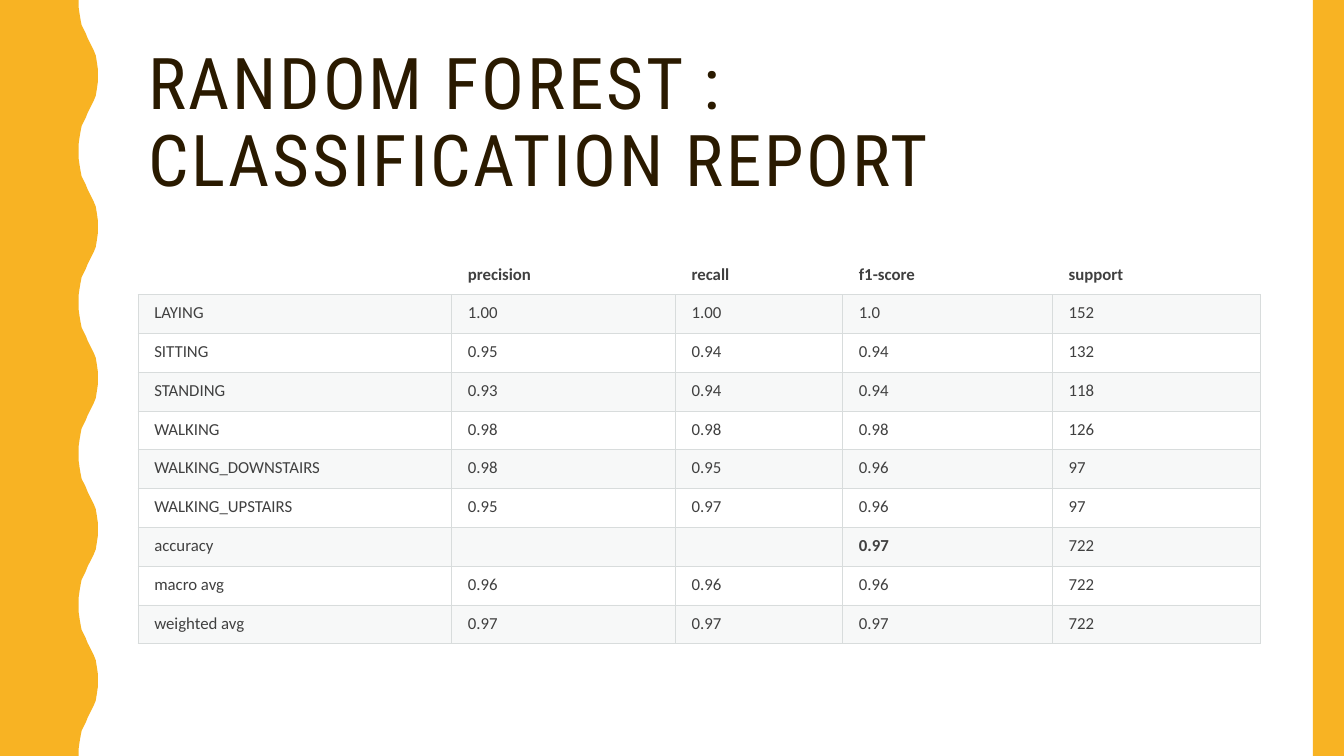
from dataclasses import dataclass

from lxml import etree
from pptx import Presentation
from pptx.dml.color import RGBColor
from pptx.enum.shapes import MSO_SHAPE
from pptx.enum.text import MSO_ANCHOR, MSO_AUTO_SIZE, PP_ALIGN
from pptx.oxml.ns import qn
from pptx.util import Pt

PX = 9144
RECT = MSO_SHAPE.RECTANGLE
TOP, MIDDLE = MSO_ANCHOR.TOP, MSO_ANCHOR.MIDDLE
LEFT = PP_ALIGN.LEFT
NO_FIT = MSO_AUTO_SIZE.NONE
TITLE_ONLY = 5


@dataclass(frozen=True)
class Theme:
    paper: str = "FFFFFF"
    accent: str = "F8B323"
    heading: str = "2A1A00"
    body: str = "404040"
    band: str = "D8DEDC"
    rule: str = "D8DCDC"
    band_alpha: int = 20
    heading_font: str = "Roboto Condensed"
    body_font: str = "Calibri"
    heading_size: int = 51
    body_size: int = 12
    heading_spacing: int = 2
    rule_width: float = 0.75


@dataclass(frozen=True)
class Box:
    x: int
    y: int
    w: int
    h: int

    def emu(self):
        return [v * PX for v in (self.x, self.y, self.w, self.h)]


THEME = Theme()
SLIDE = Box(0, 0, 1333, 750)
WAVE_BOX = Box(0, 0, 97, 750)
EDGE_BOX = Box(1302, 0, 31, 750)
TITLE_BOX = Box(137, 42, 1113, 163)
TABLE_BOX = Box(137, 254, 1113, 385)

WAVE_COUNT = 5
HALF_WAVE = [(19, 0), (19, 7), (18, 14), (17, 20), (16, 25), (14, 29), (12, 33),
             (10, 38), (8, 42), (6, 46), (4, 50), (2, 55), (1, 61), (0, 68), (0, 75)]

COLUMN_WIDTHS = [311, 222, 166, 208, 206]
REPORT = [
    ["", "precision", "recall", "f1-score", "support"],
    ["LAYING", "1.00", "1.00", "1.0", "152"],
    ["SITTING", "0.95", "0.94", "0.94", "132"],
    ["STANDING", "0.93", "0.94", "0.94", "118"],
    ["WALKING", "0.98", "0.98", "0.98", "126"],
    ["WALKING_DOWNSTAIRS", "0.98", "0.95", "0.96", "97"],
    ["WALKING_UPSTAIRS", "0.95", "0.97", "0.96", "97"],
    ["accuracy", "", "", "0.97", "722"],
    ["macro avg", "0.96", "0.96", "0.96", "722"],
    ["weighted avg", "0.97", "0.97", "0.97", "722"],
]
BOLD_CELL = (7, 3)


def set_all(obj, values):
    for name, value in values.items():
        setattr(obj, name, value)


def style_font(font, name, size, color, bold=False):
    set_all(font, {"name": name, "size": Pt(size), "bold": bold})
    font.color.rgb = RGBColor.from_string(color)


def paint(shape, color):
    shape.shadow.inherit = False
    shape.fill.solid()
    shape.fill.fore_color.rgb = RGBColor.from_string(color)
    shape.line.fill.background()


def add_wave(s, box):
    period = box.h // WAVE_COUNT
    right = box.x + box.w
    wave = HALF_WAVE + [(dx, period - dy) for dx, dy in HALF_WAVE[-2::-1]]
    points = [(right - dx, box.y + n * period + dy)
              for n in range(WAVE_COUNT) for dx, dy in wave[n > 0:]]
    outline = s.shapes.build_freeform(box.x, box.y, scale=PX)
    outline.add_line_segments(points + [(box.x, box.y + box.h)], close=True)
    paint(outline.convert_to_shape(), THEME.accent)


def add_edge(s, box):
    paint(s.shapes.add_shape(RECT, *box.emu()), THEME.accent)


def add_title(s, box, text):
    sp = s.shapes.title
    set_all(sp, dict(zip(("left", "top", "width", "height"), box.emu())))
    tf = sp.text_frame
    set_all(tf, {"word_wrap": True, "auto_size": NO_FIT, "vertical_anchor": MIDDLE})
    p = tf.paragraphs[0]
    set_all(p, {"alignment": LEFT, "line_spacing": 0.9})
    r = p.add_run()
    r.text = text
    style_font(r.font, THEME.heading_font, THEME.heading_size, THEME.heading)
    r.font._element.set("spc", str(THEME.heading_spacing * 100))


def set_borders(cell, sides):
    props = cell._tc.get_or_add_tcPr()
    for index, side in enumerate("LRTB"):
        line = etree.Element(qn(f"a:ln{side}"), w=str(Pt(THEME.rule_width)))
        if side in sides:
            fill = etree.SubElement(line, qn("a:solidFill"))
            etree.SubElement(fill, qn("a:srgbClr"), val=THEME.rule)
        else:
            etree.SubElement(line, qn("a:noFill"))
        props.insert(index, line)


def fill_band(cell):
    cell.fill.solid()
    cell.fill.fore_color.rgb = RGBColor.from_string(THEME.band)
    color = cell._tc.tcPr.find(f".//{qn('a:srgbClr')}")
    etree.SubElement(color, qn("a:alpha"), val=str(THEME.band_alpha * 1000))


def add_cell(cell, text, header, banded, bold):
    set_all(cell, {"margin_left": 16 * PX, "margin_top": 8 * PX, "margin_right": 7 * PX,
                   "margin_bottom": 8 * PX, "vertical_anchor": TOP})
    if banded:
        fill_band(cell)
    else:
        cell.fill.background()
    set_borders(cell, "B" if header else "LRTB")
    p = cell.text_frame.paragraphs[0]
    if text:
        r = p.add_run()
        r.text = text
        style_font(r.font, THEME.body_font, THEME.body_size, THEME.body, bold)
    else:
        etree.SubElement(p._p, qn("a:endParaRPr"), sz=str(THEME.body_size * 100))


def add_report(s, box, rows):
    table = s.shapes.add_table(len(rows), len(rows[0]), *box.emu()).table
    set_all(table, {"first_row": False, "horz_banding": False})
    for column, width in zip(table.columns, COLUMN_WIDTHS):
        column.width = width * PX
    for i, row in enumerate(rows):
        table.rows[i].height = box.h * PX // len(rows)
        for j, text in enumerate(row):
            header = i == 0
            add_cell(table.cell(i, j), text, header, i % 2 == 1,
                     header or (i, j) == BOLD_CELL)


def add_report_slide(prs):
    s = prs.slides.add_slide(prs.slide_layouts[TITLE_ONLY])
    s.background.fill.solid()
    s.background.fill.fore_color.rgb = RGBColor.from_string(THEME.paper)
    add_title(s, TITLE_BOX, "RANDOM FOREST : CLASSIFICATION REPORT")
    add_wave(s, WAVE_BOX)
    add_edge(s, EDGE_BOX)
    add_report(s, TABLE_BOX, REPORT)


def main():
    prs = Presentation()
    set_all(prs, {"slide_width": SLIDE.w * PX, "slide_height": SLIDE.h * PX})
    add_report_slide(prs)
    prs.save("out.pptx")


if __name__ == "__main__":
    main()
